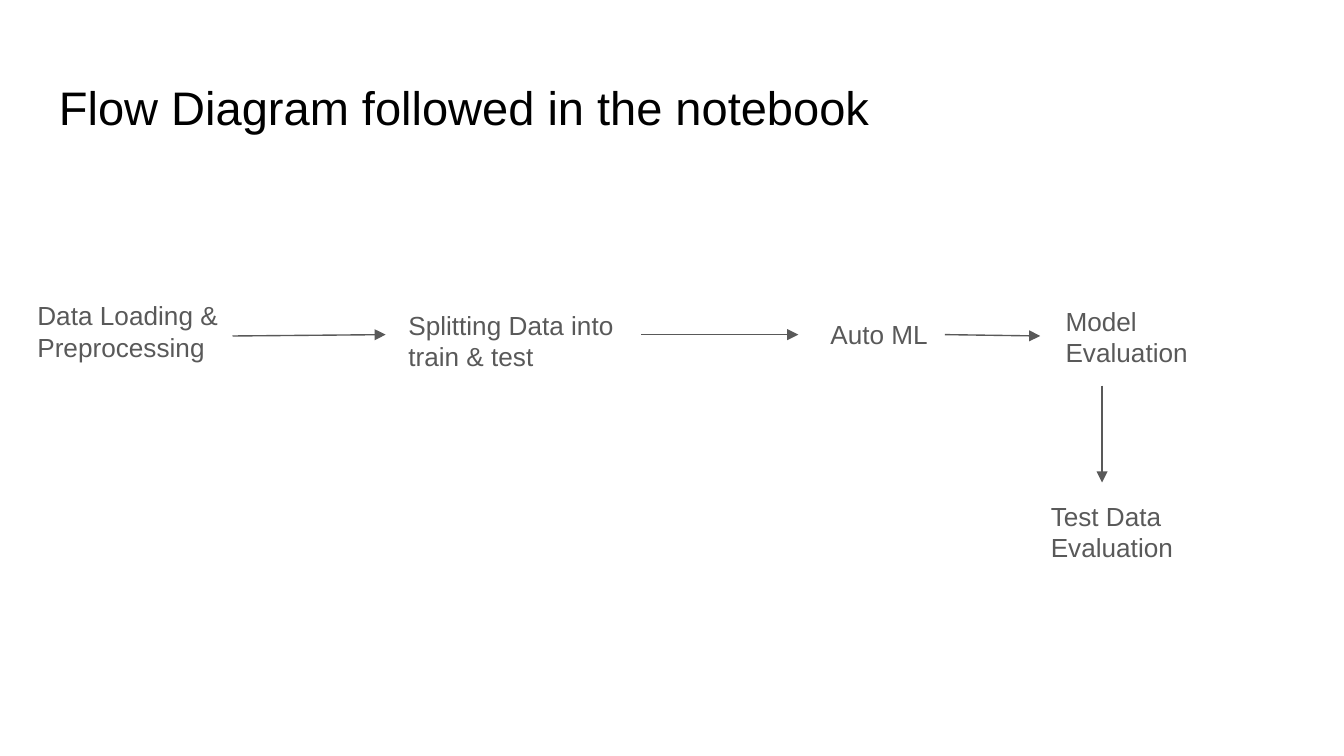
from lxml import etree
from pptx import Presentation
from pptx.dml.color import RGBColor
from pptx.enum.shapes import MSO_CONNECTOR as Connector
from pptx.oxml.ns import qn
from pptx.util import Pt

PX = 4572  # 200 px to the inch
BLACK = RGBColor(0x00, 0x00, 0x00)
GRAY = RGBColor(0x59, 0x59, 0x59)

deck = Presentation()
deck.slide_width, deck.slide_height = 2000 * PX, 1125 * PX
slide = deck.slides.add_slide(deck.slide_layouts[6])


def add_text(text, left, top, width, height, size=14, color=GRAY):
    box = slide.shapes.add_textbox(left * PX, top * PX, width * PX, height * PX)
    frame = box.text_frame
    frame.word_wrap = True
    frame.margin_left = frame.margin_right = 20 * PX
    frame.margin_top = frame.margin_bottom = 20 * PX
    paragraph = frame.paragraphs[0]
    paragraph.line_spacing = 1.0
    run = paragraph.add_run()
    run.text = text
    run.font.name = "Arial"
    run.font.size = Pt(size)
    run.font.color.rgb = color


# Title
add_text("Flow Diagram followed in the notebook", 68, 97, 1864, 126, size=25.2, color=BLACK)

# Workflow steps: text, left, top, width, height
steps = [
    ("Data Loading & Preprocessing", 36, 426, 454, 114),
    ("Splitting Data into train & test", 588, 440, 366, 114),
    ("Auto ML", 1216, 454, 188, 88),
    ("Model Evaluation", 1566, 434, 312, 126),
    ("Test Data Evaluation", 1544, 724, 312, 172),
]
for step in steps:
    add_text(*step)

# Arrows from each step to the next: start x, start y, end x, end y
arrows = [
    (346, 500, 574, 498),
    (954, 498, 1188, 498),
    (1406, 498, 1548, 500),
    (1640, 574, 1640, 718),
]
for ends in arrows:
    arrow = slide.shapes.add_connector(Connector.STRAIGHT, *(end * PX for end in ends))
    arrow.line.color.rgb = GRAY
    arrow.line.width = Pt(0.75)
    outline = arrow._element.spPr.find(qn("a:ln"))
    etree.SubElement(outline, qn("a:tailEnd"), type="triangle", w="med", len="med")
    etree.SubElement(arrow._element.spPr, qn("a:effectLst"))

deck.save("out.pptx")
